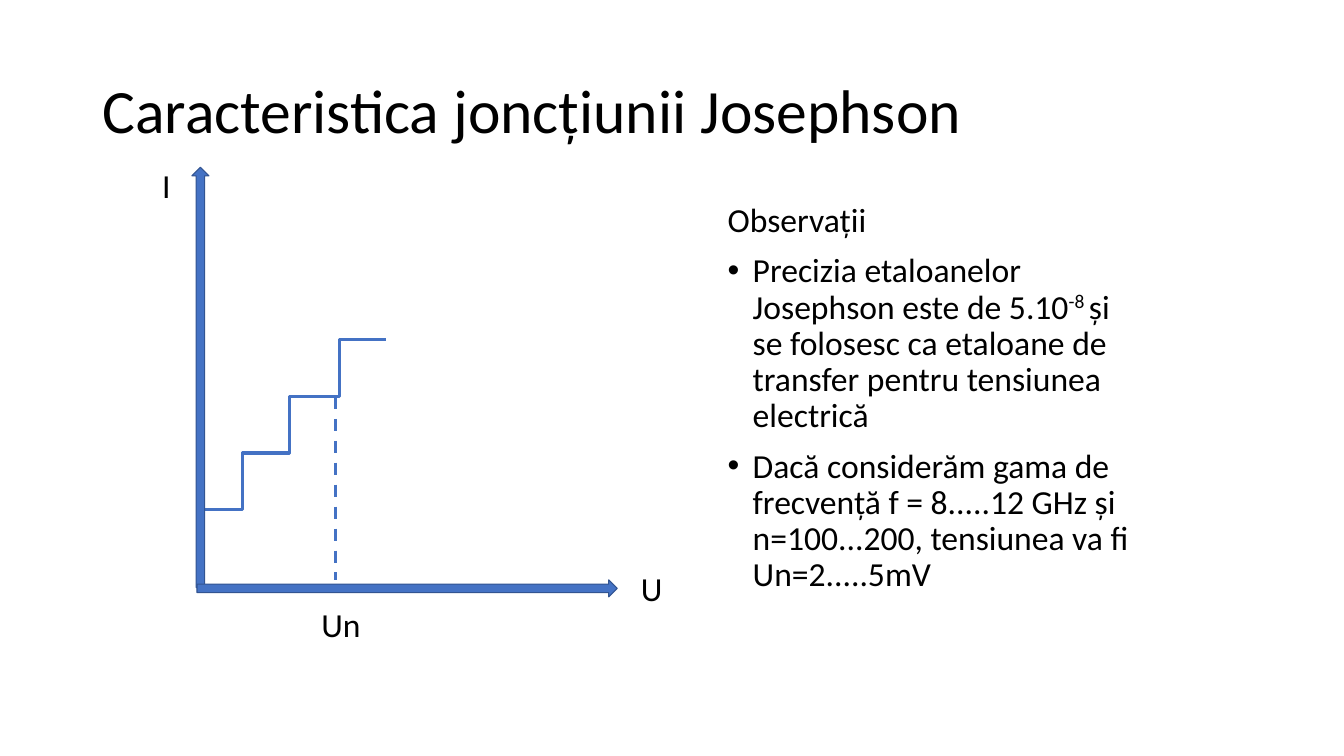
"""Build the slide on the characteristic of the Josephson junction."""
import pptx
import pptx.dml.color
import pptx.enum.dml
import pptx.enum.shapes
import pptx.enum.text
import pptx.oxml
import pptx.util

Pt = pptx.util.Pt
FONT = "Calibri"
BLACK = "000000"
BLUE = "4472C4"
DARK_BLUE = "325491"
STEP_WIDTH = 66.2
STEP_HEIGHT = 40.8
STEP_STARTS = [(140.4, 363.8), (173.5, 323.9), (209.5, 283.5)]
NOTES = [
    (False, [("Observații", False)]),
    (True, [
        ("Precizia etaloanelor Josephson este de 5.10", False),
        ("-8 ", True),
        ("și se folosesc ca etaloane de transfer pentru tensiunea electrică", False),
    ]),
    (True, [
        ("Dacă considerăm gama de frecvență f = 8.....12 GHz și "
         "n=100...200, tensiunea va fi Un=2.....5mV", False),
    ]),
]
LABELS = [("I", 108.7, 114.5, 40.3), ("Un", 222.5, 427.7, 62.6), ("U", 450.7, 401.8, 40.3)]


def color(value):
    return pptx.dml.color.RGBColor.from_string(value)


def add_span(para, text, size, raised=False):
    span = para.add_run()
    span.text = text
    span.font.name = FONT
    span.font.size = Pt(size)
    span.font.color.rgb = color(BLACK)
    if raised:
        span.font._element.set("baseline", "30000")


def set_title(slide, text):
    title = slide.shapes.title
    title.left, title.top, title.width, title.height = Pt(66), Pt(28.8), Pt(828), Pt(104.4)
    frame = title.text_frame
    frame.word_wrap = True
    frame.auto_size = pptx.enum.text.MSO_AUTO_SIZE.NONE
    frame.vertical_anchor = pptx.enum.text.MSO_ANCHOR.MIDDLE
    para = frame.paragraphs[0]
    para.alignment = pptx.enum.text.PP_ALIGN.LEFT
    para.line_spacing = 0.9
    add_span(para, text, 44)


def add_box(slide, left, top, width, height):
    box = slide.shapes.add_textbox(Pt(left), Pt(top), Pt(width), Pt(height))
    box.text_frame.word_wrap = True
    return box.text_frame


def add_label(slide, text, left, top, width):
    frame = add_box(slide, left, top, width, 36)
    frame.auto_size = pptx.enum.text.MSO_AUTO_SIZE.SHAPE_TO_FIT_TEXT
    add_span(frame.paragraphs[0], text, 24)


def add_bullet(para):
    properties = para._p.get_or_add_pPr()
    properties.set("marL", str(Pt(18)))
    properties.set("indent", str(-Pt(18)))
    namespace = 'xmlns:a="http://schemas.openxmlformats.org/drawingml/2006/main"'
    for element in ('<a:buFont {} typeface="Arial"/>', '<a:buChar {} char="•"/>'):
        properties.append(pptx.oxml.parse_xml(element.format(namespace)))


def add_notes(slide):
    frame = add_box(slide, 512.6, 141.8, 310.3, 342.7)
    for index, (bulleted, spans) in enumerate(NOTES):
        para = frame.add_paragraph() if index else frame.paragraphs[0]
        if bulleted:
            add_bullet(para)
        para.line_spacing = 0.9
        para.space_before = Pt(10 if index else 0)
        for text, raised in spans:
            add_span(para, text, 24, raised)


def add_axis(slide, left, top, rotation):
    shape_type = pptx.enum.shapes.MSO_SHAPE.UP_ARROW
    axis = slide.shapes.add_shape(shape_type, Pt(left), Pt(top), Pt(12.2), Pt(300.2))
    axis.rotation = rotation
    axis.shadow.inherit = False
    axis.fill.solid()
    axis.fill.fore_color.rgb = color(BLUE)
    axis.line.color.rgb = color(DARK_BLUE)
    axis.line.width = Pt(0)


def add_line(slide, kind, start, end, width):
    points = [Pt(value) for value in (*start, *end)]
    line = slide.shapes.add_connector(kind, *points)
    line.line.color.rgb = color(BLUE)
    line.line.width = Pt(width)
    properties = line._element.spPr
    properties.append(properties.makeelement(pptx.oxml.ns.qn("a:effectLst"), {}))
    return line


def main():
    deck = pptx.Presentation()
    deck.slide_width, deck.slide_height = Pt(960), Pt(540)
    slide = deck.slides.add_slide(deck.slide_layouts[5])
    set_title(slide, "Caracteristica joncțiunii Josephson")
    add_notes(slide)
    kinds = pptx.enum.shapes.MSO_CONNECTOR
    for left, bottom in STEP_STARTS:
        end = (left + STEP_WIDTH, bottom - STEP_HEIGHT)
        add_line(slide, kinds.ELBOW, (left, bottom), end, 2)
    add_axis(slide, 137.1, 119.5, 0)
    add_axis(slide, 284.7, 270.2, 90)
    marker = add_line(slide, kinds.STRAIGHT, (239.8, 283.5), (239.8, 414), 2.25)
    marker.line.dash_style = pptx.enum.dml.MSO_LINE.DASH
    for label in LABELS:
        add_label(slide, *label)
    deck.save("out.pptx")


if __name__ == "__main__":
    main()
